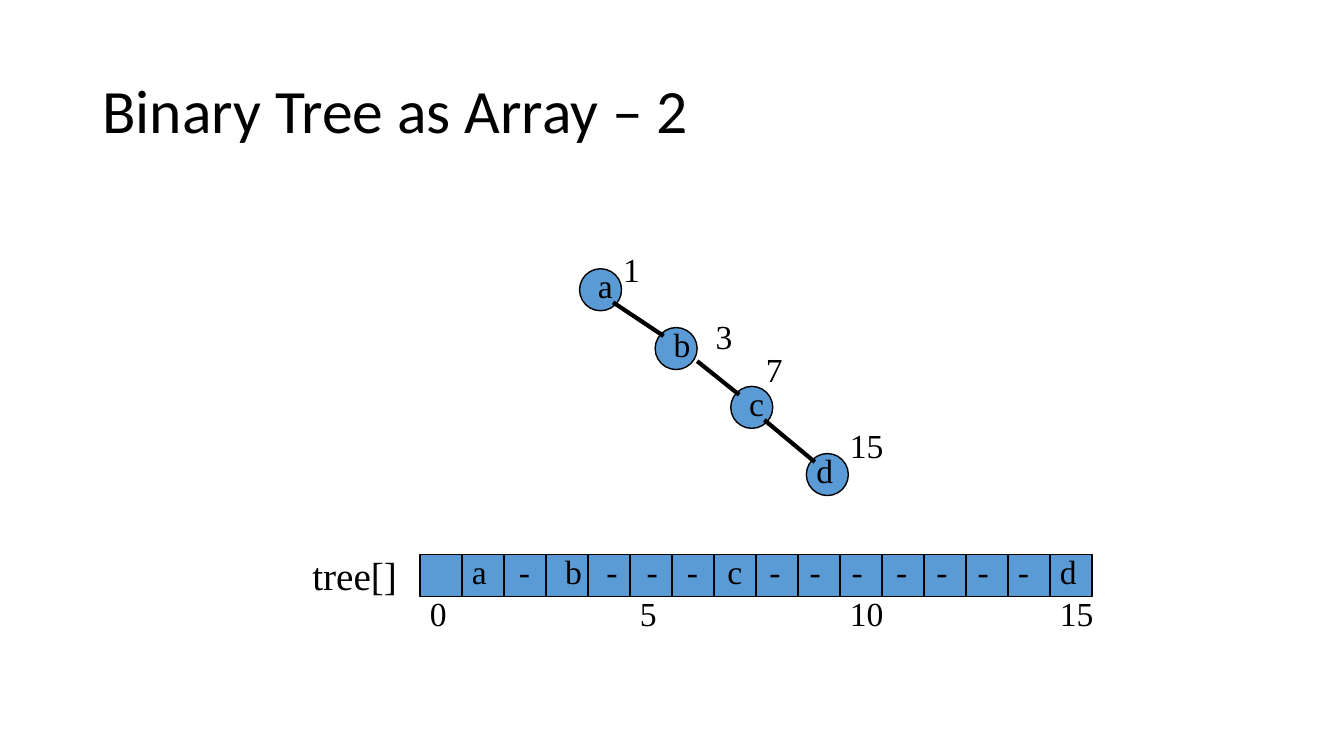
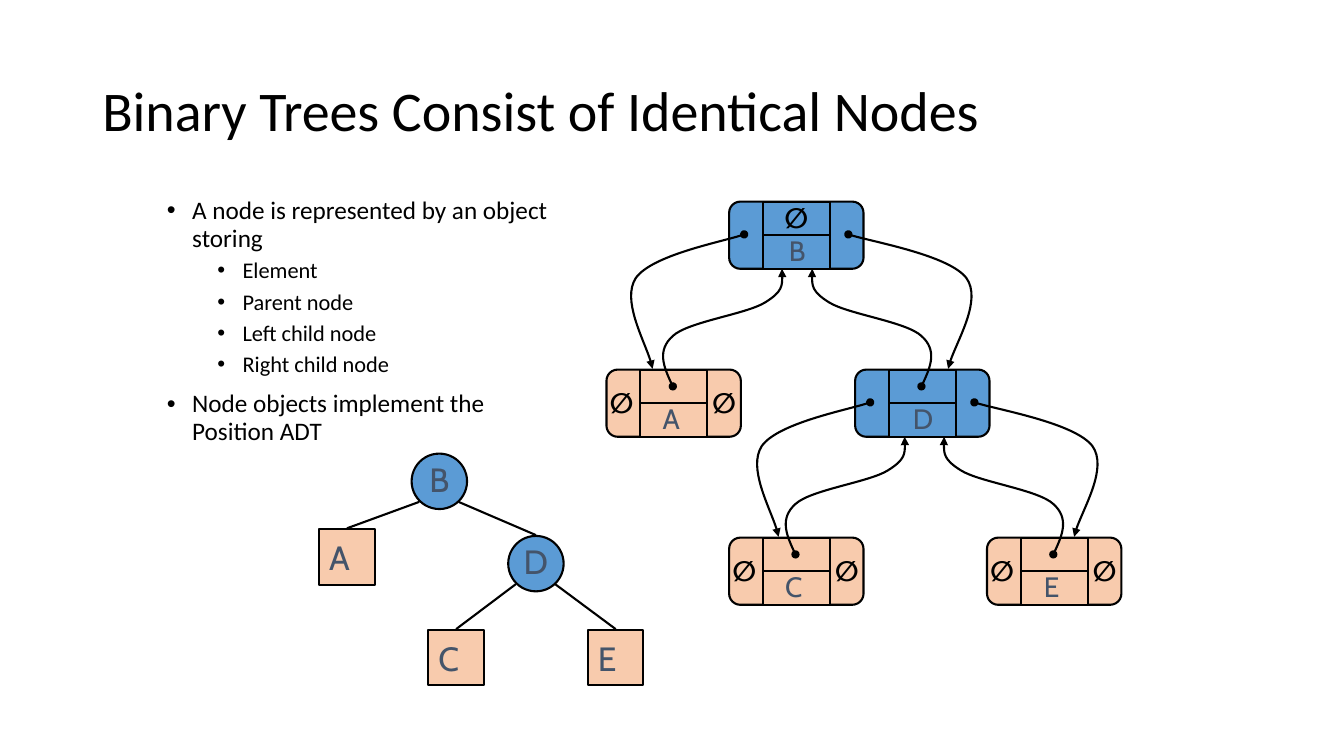
from lxml.etree import SubElement
from pptx import Presentation
from pptx.dml.color import RGBColor
from pptx.enum.shapes import MSO_CONNECTOR, MSO_SHAPE
from pptx.enum.text import MSO_ANCHOR, PP_ALIGN
from pptx.oxml.ns import qn
from pptx.util import Emu, Inches, Pt

COLUMNS, ROWS = 160, 90
UNIT = Inches(1) / 12  # one grid column or row
COLORS = {"black": "000000", "blue": "5B9BD5", "peach": "F8CBAD", "slate": "44546A"}
TITLE_FONT, ARRAY_FONT, NODE_FONT = "Calibri", "Times New Roman", "Cabin"


def grid(value):
    return Emu(round(value * UNIT))


def color(name):
    return RGBColor.from_string(COLORS[name])


def write(paragraph, text, size=24, font=ARRAY_FONT, ink="black", bold=False,
          align=PP_ALIGN.LEFT, spacing=None, before=None, indent=None):
    """Add formatted text; indent, in inches, also makes the paragraph a bullet."""
    if indent is not None:
        properties = paragraph._p.get_or_add_pPr()
        properties.set("marL", str(Inches(indent)))
        properties.set("indent", str(-Inches(0.25)))
        SubElement(properties, qn("a:buFont")).set("typeface", "Arial")
        SubElement(properties, qn("a:buChar")).set("char", "•")
    paragraph.alignment = align
    if spacing is not None:
        paragraph.line_spacing = spacing
    if before is not None:
        paragraph.space_before = Pt(before)
    run = paragraph.add_run()
    run.text = text
    run.font.size, run.font.name, run.font.bold = Pt(size), font, bold
    run.font.color.rgb = color(ink)


class Deck:
    """Holds the presentation, its style and the current slide."""

    def __init__(self):
        self.presentation = Presentation()
        self.presentation.slide_width = grid(COLUMNS)
        self.presentation.slide_height = grid(ROWS)

    def add_slide(self, title, size):
        self.slide = self.presentation.slides.add_slide(self.presentation.slide_layouts[6])
        frame = self.frame(11, 4.8, 138, 17.4)
        frame.vertical_anchor = MSO_ANCHOR.MIDDLE
        write(frame.paragraphs[0], title, size=size, font=TITLE_FONT, spacing=0.9)

    def frame(self, left, top, width, height):
        box = self.slide.shapes.add_textbox(*map(grid, (left, top, width, height)))
        box.text_frame.word_wrap = True
        return box.text_frame

    def label(self, text, left, top, width=8, height=6, **style):
        write(self.frame(left, top, width, height).paragraphs[0], text, **style)

    def bullets(self, items, left, top, width, height):
        frame = self.frame(left, top, width, height)
        for number, (level, text) in enumerate(items):
            paragraph = frame.add_paragraph() if number else frame.paragraphs[0]
            before = (10, 5)[level] if number else 0
            write(paragraph, text, size=(18, 16)[level], font=TITLE_FONT, spacing=0.9,
                  before=before, indent=(0.25, 0.75)[level])

    def outline(self, shape, weight):
        shape.line.color.rgb = color("black")
        shape.line.width = Pt(weight)

    def shape(self, kind, left, top, width, height, fill="blue", weight=1.5):
        shape = self.slide.shapes.add_shape(kind, *map(grid, (left, top, width, height)))
        shape.shadow.inherit = False
        shape.fill.solid()
        shape.fill.fore_color.rgb = color(fill)
        self.outline(shape, weight)
        return shape

    def line(self, start, end, weight=1.5):
        connector = self.slide.shapes.add_connector(
            MSO_CONNECTOR.STRAIGHT, *map(grid, (*start, *end)))
        self.outline(connector, weight)
        SubElement(connector._element.spPr, qn("a:effectLst"))

    def curve(self, start, steps, stretch=1):
        """Draw a Bezier arrow; steps are offsets from start, three per segment."""
        x, y = start
        points = [(grid(x + dx * stretch), grid(y + dy)) for dx, dy in steps]
        builder = self.slide.shapes.build_freeform(grid(x), grid(y))
        builder.add_line_segments(points, close=False)
        shape = builder.convert_to_shape()
        segments = list(shape._element.iter(qn("a:lnTo")))
        route = segments[0].getparent()
        for first in range(0, len(segments), 3):
            bezier = SubElement(route, qn("a:cubicBezTo"))
            for segment in segments[first:first + 3]:
                bezier.append(segment[0])
                route.remove(segment)
        shape.shadow.inherit = False
        shape.fill.background()
        self.outline(shape, 1.5)
        line = shape.line._get_or_add_ln()
        SubElement(line, qn("a:headEnd")).set("type", "oval")
        SubElement(line, qn("a:tailEnd")).set("type", "triangle")

    def tree_node(self, text, left, top, leaf):
        kind = MSO_SHAPE.RECTANGLE if leaf else MSO_SHAPE.OVAL
        shape = self.shape(kind, left, top, 6.6, 6.6, "peach" if leaf else "blue")
        frame = shape.text_frame
        frame.word_wrap = False
        frame.vertical_anchor = MSO_ANCHOR.MIDDLE
        if not leaf:
            frame.margin_left = frame.margin_right = frame.margin_top = 0
        write(frame.paragraphs[0], text, font=NODE_FONT, ink="slate",
              align=PP_ALIGN.LEFT if leaf else PP_ALIGN.CENTER)

    def record(self, text, left, top, leaf, root):
        """Draw a node object: left link, parent above element, right link."""
        fill = "peach" if leaf else "blue"
        self.shape(MSO_SHAPE.ROUNDED_RECTANGLE, left, top, 16, 8, fill)
        self.shape(MSO_SHAPE.RECTANGLE, left + 4, top, 8, 8, fill)
        self.line((left + 4, top + 4), (left + 12, top + 4))
        style = {"width": 5.2, "size": 20, "font": NODE_FONT, "align": PP_ALIGN.CENTER}
        self.label(text, left + (5.1 if leaf else 5.5), top + 3.2, ink="slate", **style)
        empty_links = [(-0.8, 1.3), (11.4, 1.3)] if leaf else []
        if root:
            empty_links.append((5.4, -0.7))
        for dx, dy in empty_links:
            self.label("∅", left + dx, top + dy, bold=True, **style)


def add_array_slide(deck):
    deck.add_slide("Binary Tree as Array – 2", 44)
    cell, array_left, array_top = 5, 50, 66
    for index in range(16):
        deck.shape(MSO_SHAPE.RECTANGLE, array_left + index * cell, array_top, cell, cell, weight=1)
    deck.label("tree[]", 36, 65, 15, 7, size=28)
    for index in range(0, 16, 5):
        deck.label(str(index), array_left + index * cell, array_top + 4)
    entry_columns = (55, 60.6, 66.1, 71, 75.8, 80.6, 85.4, 90.4,
                     95.2, 100.2, 105.5, 110.3, 115.2, 120, 125)
    for text, column in zip("a-b---c-------d", entry_columns):
        deck.label(text, column, array_top - 1)

    nodes = [("a", 69, 32, 70), ("b", 78, 39, 79), ("c", 87, 46, 88), ("d", 96, 54, 96)]
    for text, left, top, text_left in nodes:
        deck.shape(MSO_SHAPE.OVAL, left, top, cell, cell, weight=1)
        deck.label(text, text_left, top - 1)
    for text, left, top in [("1", 73, 29), ("3", 84, 37), ("7", 90, 41), ("15", 100, 50)]:
        deck.label(text, left, top)
    for start, end in [((73, 36), (79, 40)), ((83, 43), (88, 47)), ((91, 50), (97, 55))]:
        deck.line(start, end, weight=3)


def add_nodes_slide(deck):
    deck.add_slide("Binary Trees Consist of Identical Nodes", 40)
    deck.bullets([(0, "A node is represented by an object storing"),
                  (1, "Element"),
                  (1, "Parent node"),
                  (1, "Left child node"),
                  (1, "Right child node"),
                  (0, "Node objects implement the Position ADT")], 18.7, 23, 48.1, 54)

    links = [("B", "A", -1), ("B", "D", 1), ("D", "C", -1), ("D", "E", 1)]
    parents = {parent for parent, _, _ in links}
    tree = {"B": (49, 54), "D": (60.5, 63.8), "A": (38, 63), "C": (51, 75), "E": (70, 75)}
    for name, (left, top) in tree.items():
        deck.tree_node(name, left, top, name not in parents)
    for parent, child, side in links:
        (left, top), (child_left, child_top) = tree[parent], tree[child]
        deck.line((child_left + 3.3, child_top - 0.1), (left + 3.25 + 2.35 * side, top + 5.75))

    records = {"B": (86.8, 24), "A": (72.2, 44), "D": (101.8, 44),
               "C": (86.8, 64), "E": (117.5, 64)}
    for name, (left, top) in records.items():
        deck.record(name, left, top, name not in parents, name == "B")
    to_parent = [(1, -2.1), (1.9, -4.3), (0, -6), (-1.8, -7.7), (-8.8, -8.6),
                 (-11, -10), (-13.1, -11.3), (-13.1, -12.6), (-13, -14)]
    to_child = [(2.2, 0.8), (11, 2.5), (12.9, 5.2), (14.6, 7.8), (11.3, 13.7), (10.9, 16)]
    for parent, child, side in links:
        (left, top), (child_left, child_top) = records[parent], records[child]
        deck.curve((child_left + 7.9, child_top + 2), to_parent, side)
        deck.curve((left + 8 + 6.2 * side, top + 3.9), to_child, 1.09 if side > 0 else -1)


def main():
    deck = Deck()
    add_array_slide(deck)
    add_nodes_slide(deck)
    deck.presentation.save("out.pptx")


if __name__ == "__main__":
    main()
